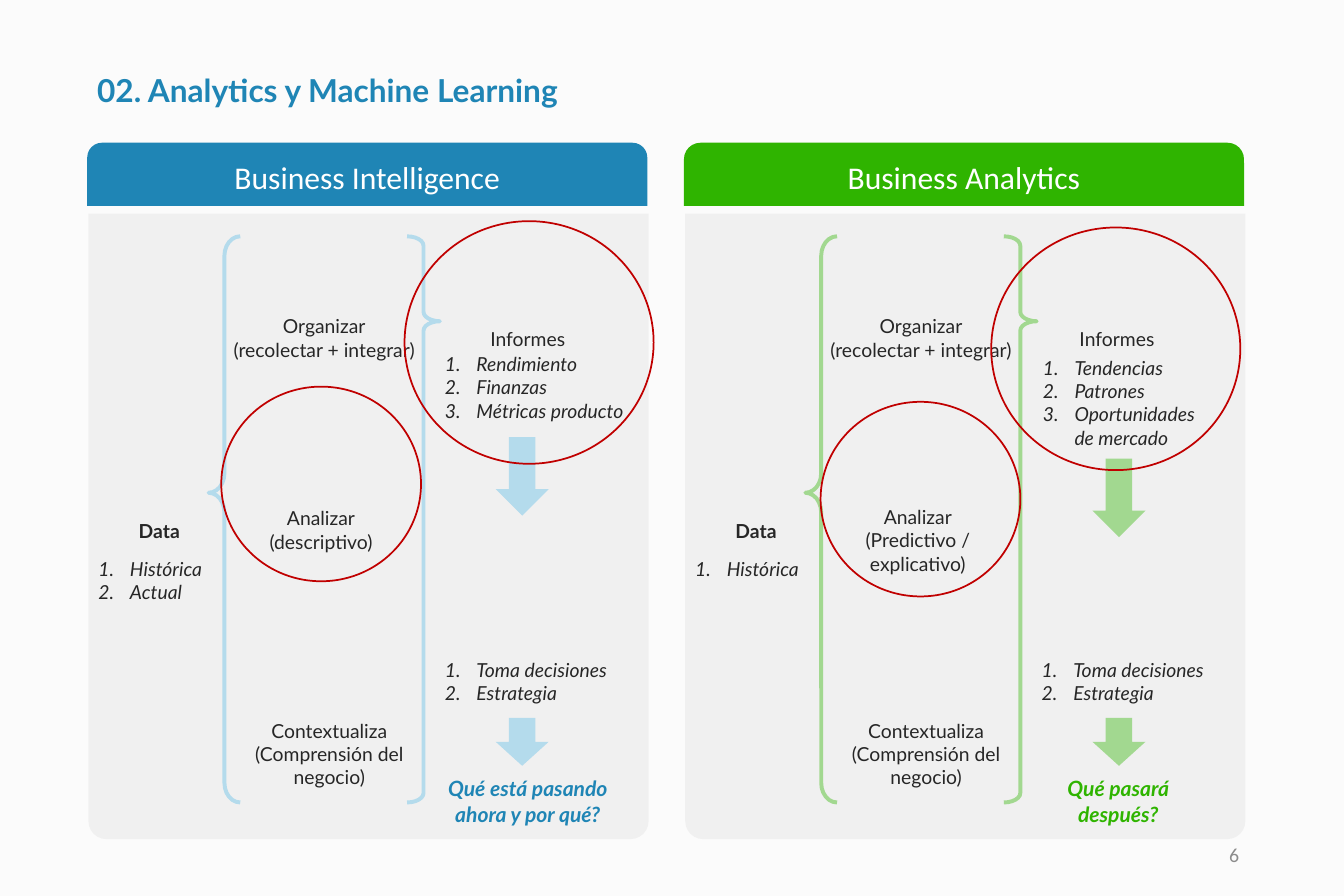
from dataclasses import dataclass
from lxml.etree import SubElement
from pptx import Presentation
from pptx.dml.color import RGBColor
from pptx.enum.shapes import MSO_SHAPE as Form
from pptx.enum.text import MSO_ANCHOR as Anchor, MSO_AUTO_SIZE as Fit, PP_ALIGN as Align
from pptx.oxml.ns import qn
from pptx.util import Inches, Pt


def tint(fill, code, alpha=100):
    """Apply a solid hex colour, with opacity in percent."""
    fill.solid()
    fill.fore_color.rgb = RGBColor.from_string(code)
    if alpha < 100:
        node = fill._xPr.find(qn("a:solidFill"))[0]
        SubElement(node, qn("a:alpha")).set("val", str(alpha * 1000))


@dataclass
class Deck:
    """Hold the style and the current slide."""
    slide: object
    font: str = "Lato"
    head: str = "Calibri"
    ink: str = "262626"
    ring: str = "C00000"

    def label(self, frame, lines, size=11, color=None, font=None, bold=False,
              slant=False, align=Align.CENTER, space=None, count=False):
        """Fill a text frame, one paragraph for each line."""
        for i, line in enumerate(lines):
            para = frame.paragraphs[0] if i == 0 else frame.add_paragraph()
            para.alignment = align
            if space:
                para.line_spacing = space
            if count:
                props = para._p.get_or_add_pPr()
                props.set("marL", str(Inches(0.25)))
                props.set("indent", str(-Inches(0.25)))
                SubElement(props, qn("a:buAutoNum")).set("type", "arabicPeriod")
            run = para.add_run()
            run.text = line
            run.font.name = font or self.font
            run.font.size = Pt(size)
            run.font.bold = bold
            run.font.italic = slant
            tint(run.font.fill, color or self.ink)

    def text(self, box, *lines, anchor=Anchor.TOP, **style):
        """Add a text box."""
        frame = self.slide.shapes.add_textbox(*map(Inches, box)).text_frame
        frame.word_wrap = True
        frame.auto_size = Fit.SHAPE_TO_FIT_TEXT if anchor == Anchor.TOP else Fit.NONE
        frame.vertical_anchor = anchor
        self.label(frame, lines, **style)

    def steps(self, box, *items):
        """Add a numbered list in italics."""
        self.text(box, *items, slant=True, align=Align.LEFT, count=True)

    def shape(self, form, box, fill=None, line=None, width=1, alpha=100, adjust=()):
        """Add a preset shape."""
        shape = self.slide.shapes.add_shape(form, *map(Inches, box))
        shape.shadow.inherit = False
        for i, value in enumerate(adjust):
            shape.adjustments[i] = value
        if fill:
            tint(shape.fill, fill, alpha)
        else:
            shape.fill.background()
        if line:
            shape.line.width = Pt(width)
            tint(shape.line.fill, line, alpha)
        else:
            shape.line.fill.background()
        return shape

    def banner(self, box, title, color, curve):
        """Add a panel heading with round top corners."""
        shape = self.shape(Form.ROUND_2_SAME_RECTANGLE, box, color, adjust=(curve, 0))
        shape.text_frame.vertical_anchor = Anchor.MIDDLE
        self.label(shape.text_frame, [title], size=18, color="FFFFFF", font=self.head)

    def panel(self, x, side):
        """Add one of the two panels, with its left edge at x."""
        color, soft, alpha = side["color"], side["soft"], side["alpha"]
        self.banner((x - 0.01, 1.13, 4.43, 0.5), side["title"], color, side["curve"])
        self.shape(Form.ROUND_2_SAME_RECTANGLE, (x, 1.69, 4.43, 4.95), "D9D9D9",
                   alpha=30, adjust=(0, 0.032))
        self.text((x - 0.02, 4.06, 1.16, 0.29), "Data", bold=True)
        self.steps((x - 0.02, 4.36, 1.16, 0.47), *side["data"])
        self.text((x + 0.83, 2.44, 2.07, 0.47), "Organizar", "(recolectar + integrar)")
        self.text((x + 1.26, side["study"], 1.16, 0.47), "Analizar", side["kind"])
        self.text((x + 1.17, 5.64, 1.47, 0.66), "Contextualiza",
                  "(Comprensión del negocio)")
        self.text((side["report"], 2.45, 1.07, 0.34), "Informes", space=1.5)
        self.steps(side["place"], *side["items"])
        self.steps((x + 2.72, 5.16, 1.51, 0.47), "Toma decisiones", "Estrategia")
        for form, left, wide, curve, tip in (
                (Form.LEFT_BRACE, 0.95, 0.25, 0.615, 0.453),
                (Form.RIGHT_BRACE, 2.52, 0.26, 0.286, 0.15)):
            self.shape(form, (x + left, 1.87, wide, 4.48), line=soft, width=2.25,
                       alpha=alpha, adjust=(curve, tip))
        for top, tall in ((side["arrow"], 0.62), (5.68, 0.38)):
            self.shape(Form.DOWN_ARROW, (x + 3.22, top, 0.42, tall), soft, alpha=alpha)
        self.text((side["ask"], 6.09, 1.51, 0.5), side["query"], size=12,
                  color=color, bold=True, slant=True)
        for spot, size in zip(side["rings"], ((1.58, 1.54), (1.97, 1.92))):
            self.shape(Form.OVAL, spot + size, line=self.ring)


SIDES = (
    dict(title="Business Intelligence", color="1F85B5", soft="B4DBEC", alpha=100,
         curve=0.233, data=("Histórica", "Actual"), kind="(descriptivo)", study=3.96,
         report=3.64, place=(3.42, 2.74, 1.63, 0.66),
         items=("Rendimiento", "Finanzas", "Métricas producto"), arrow=3.46, ask=3.42,
         query="Qué está pasando ahora y por qué?", rings=((1.75, 3.06), (3.2, 1.75))),
    dict(title="Business Analytics", color="2FB400", soft="2FB400", alpha=40,
         curve=0.261, data=("Histórica",), kind="(Predictivo / explicativo)", study=3.95,
         report=8.3, place=(8.15, 2.77, 1.41, 0.84),
         items=("Tendencias", "Patrones", "Oportunidades de mercado"), arrow=3.63,
         ask=8.09, query="Qué pasará después?", rings=((6.49, 3.18), (7.84, 1.8))),
)

show = Presentation()
show.slide_width, show.slide_height = Inches(10.63), Inches(7.09)
deck = Deck(show.slides.add_slide(show.slide_layouts[6]))
tint(deck.slide.background.fill, "FBFBFB")
deck.text((0.67, 0.51, 4.65, 0.4), "02. Analytics y Machine Learning", size=18,
          color="1F85B5", bold=True, align=Align.LEFT)
deck.text((7.51, 6.57, 2.39, 0.38), "6", anchor=Anchor.MIDDLE, size=11.3,
          color="8C8C8C", font=deck.head, align=Align.RIGHT)
for i, side in enumerate(SIDES):
    deck.panel(0.7 + 4.72 * i, side)
show.save("out.pptx")
